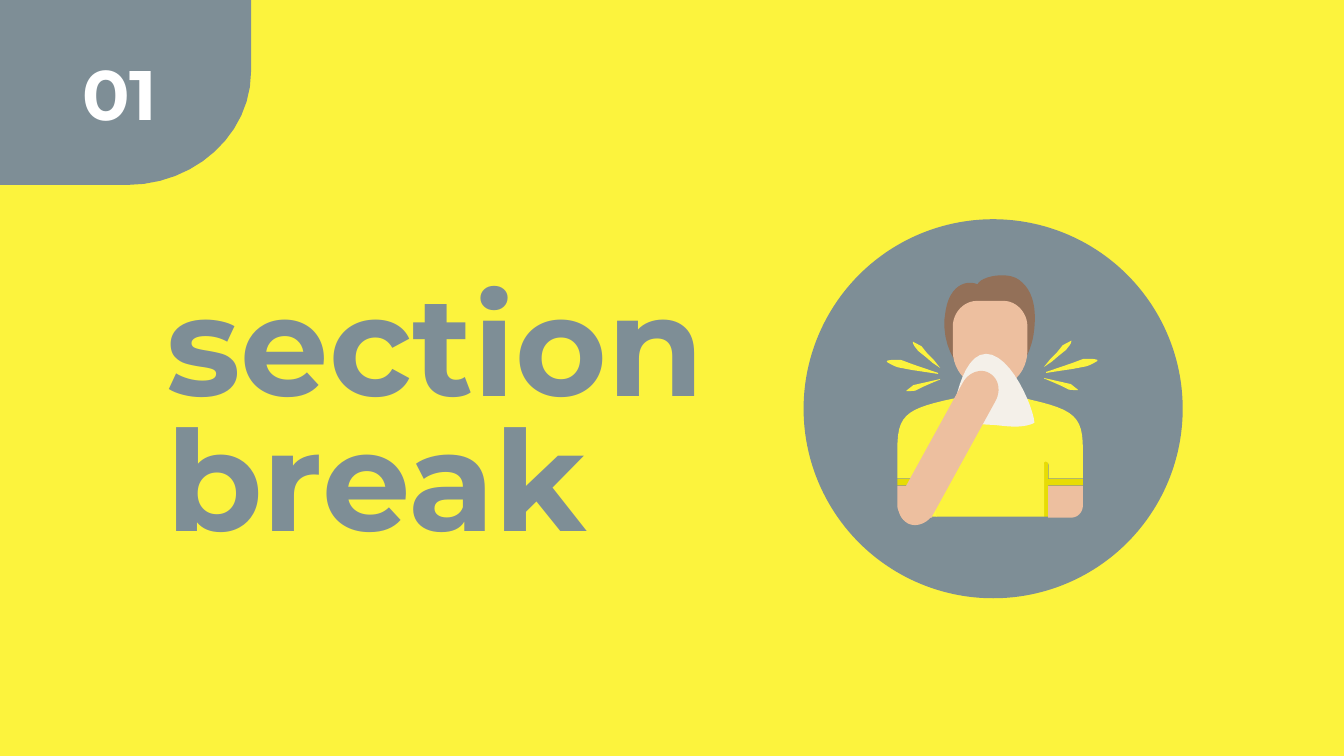
from pptx import Presentation
from pptx.dml.color import RGBColor as RGB
from pptx.enum.shapes import MSO_SHAPE as SHAPE
from pptx.enum.text import MSO_ANCHOR as ANCHOR, MSO_AUTO_SIZE as FIT, PP_ALIGN as ALIGN
from pptx.util import Inches, Pt

THEME = dict(
    yellow="FCF33D", seam="E7DC04", side="FFF83F", gray="7E8E96", white="FFFFFF",
    hair="937058", skin="EDBF9F", tissue="F4F0E9",
    font="Montserrat", title=Pt(200), number=Pt(100),
)
CELL = Inches(1)  # the slide is a grid of 26.66 columns by 15 rows
COLS, ROWS = 26.66, 15
STEPS = 12        # points per curve


def paint(sp, color):
    """Flat fill, no line, no shadow."""
    sp.shadow.inherit = False
    sp.fill.solid()
    sp.fill.fore_color.rgb = RGB.from_string(THEME[color])
    sp.line.fill.background()


def outline(parent, color, path, mirror=None, dy=0):
    """Draw points (x, y) and Bezier steps (x1, y1, x2, y2, x, y), mirrored on request."""
    pts = []
    for seg in path:
        if len(seg) == 2:
            pts.append(seg)
            continue
        p = [pts[-1], seg[:2], seg[2:4], seg[4:]]
        for i in range(1, STEPS + 1):
            t = i / STEPS
            w = ((1 - t) ** 3, 3 * t * (1 - t) ** 2, 3 * t * t * (1 - t), t ** 3)
            pts.append(tuple(sum(k * q[a] for k, q in zip(w, p)) for a in (0, 1)))
    emu = [(int((x if mirror is None else 2 * mirror - x) * CELL), int((y + dy) * CELL))
           for x, y in pts]
    fb = parent.build_freeform(*emu[0])
    fb.add_line_segments(emu[1:], close=True)
    paint(fb.convert_to_shape(), color)


prs = Presentation()
prs.slide_width, prs.slide_height = int(COLS * CELL), ROWS * CELL
s = prs.slides.add_slide(prs.slide_layouts[0])
s.background.fill.solid()
s.background.fill.fore_color.rgb = RGB.from_string(THEME["yellow"])

# Corner tab
outline(s.shapes, "gray", [(0, 0), (4.98, 0), (4.98, 1.42),
                           (4.98, 2.66, 3.87, 3.67, 2.52, 3.67), (0, 3.67)])

# Section number and the two title lines
number = s.shapes.add_textbox(0, 0, CELL, CELL)
title, subtitle = s.placeholders
for sp, text, box, size, color in (
    (number, "01", (1.53, 0.95, 3.72, 1.78), "number", "white"),
    (title, "section", (3.2, 5.04, 11.8, 3.47), "title", "gray"),
    (subtitle, "break", (3.2, 7.71, 11.8, 3.47), "title", "gray"),
):
    for name, v in zip(("left", "top", "width", "height"), box):
        setattr(sp, name, int(v * CELL))
    tf = sp.text_frame
    tf.text = text
    p = tf.paragraphs[0]
    formats = (
        (tf, dict(word_wrap=True, auto_size=FIT.NONE, vertical_anchor=ANCHOR.TOP)),
        (p, dict(alignment=ALIGN.LEFT, line_spacing=1.0, space_before=Pt(0))),
        (p.runs[0].font, dict(name=THEME["font"], size=THEME[size], bold=True)),
    )
    for obj, values in formats:
        for name, v in values.items():
            setattr(obj, name, v)
    p.runs[0].font.color.rgb = RGB.from_string(THEME[color])

# Round badge
fig = s.shapes.add_group_shape().shapes
disc = fig.add_shape(SHAPE.OVAL, *(int(v * CELL) for v in (15.94, 4.35, 7.52, 7.52)))
paint(disc, "gray")

# Head and neck
outline(fig, "hair", [
    (19.74, 7.55), (19.53, 7.55), (19.08, 7.55, 18.61, 6.87, 18.76, 6.15),
    (18.84, 5.68, 19.15, 5.54, 19.39, 5.64), (19.46, 5.48, 19.98, 5.38, 20.21, 5.55),
    (20.52, 5.77, 20.57, 6.19, 20.5, 6.65), (20.44, 7.01, 20.19, 7.55, 19.74, 7.55)])
outline(fig, "skin", [
    (19.91, 5.97), (19.38, 5.97), (19.12, 5.97, 18.9, 6.2, 18.9, 6.48), (18.9, 6.96),
    (18.9, 7.38, 19.24, 7.72, 19.64, 7.72), (20.05, 7.72, 20.38, 7.38, 20.38, 6.96),
    (20.38, 6.48), (20.38, 6.2, 20.16, 5.97, 19.91, 5.97)])
outline(fig, "skin", [
    (20.44, 8.32), (19.93, 8.28, 20.1, 7.28, 20.1, 7.28), (19.18, 7.28),
    (19.18, 7.28, 19.35, 8.28, 18.84, 8.32), (18.91, 8.45, 19.26, 8.57, 19.62, 8.57),
    (20.03, 8.56, 20.37, 8.45, 20.44, 8.32)])

# Seams and cuffs
for color, *box in (("seam", 20.71, 9.15, 0.08, 1.1), ("side", 18.48, 9.5, 0.1, 0.75),
                    ("seam", 20.79, 9.5, 0.69, 0.13), ("seam", 17.8, 9.5, 0.69, 0.13)):
    paint(fig.add_shape(SHAPE.RECTANGLE, *(int(v * CELL) for v in box)), color)

# Forearms and shirt
for mirror in (None, 19.64):
    outline(fig, "skin", [(20.79, 10.27), (21.25, 10.27),
                          (21.38, 10.27, 21.48, 10.16, 21.48, 10.03),
                          (21.48, 9.64), (20.79, 9.64)], mirror)
outline(fig, "yellow", [
    (18.48, 9.23), (18.48, 9.19, 18.5, 9.16, 18.54, 9.16),
    (18.57, 9.16, 18.57, 9.19, 18.57, 9.23), (18.57, 10.25), (20.71, 10.25), (20.71, 9.23),
    (20.71, 9.19, 20.7, 9.16, 20.74, 9.16), (20.78, 9.16, 20.8, 9.19, 20.8, 9.23),
    (20.8, 9.49), (21.48, 9.49), (21.48, 8.91), (21.48, 8.27, 21.31, 8.13, 20.44, 7.93),
    (20.23, 7.88), (20.17, 8.04, 20.02, 8.29, 19.65, 8.29),
    (19.24, 8.29, 19.1, 8.01, 19.05, 7.88), (18.72, 7.95),
    (17.96, 8.13, 17.8, 8.27, 17.8, 8.91), (17.8, 9.49), (18.48, 9.49)])

# Tissue and raised arm
outline(fig, "tissue", [
    (18.9, 8.23), (18.9, 8.23, 19.05, 7.02, 19.56, 7.02),
    (20.05, 7.02, 20.5, 8.08, 20.52, 8.39), (20.23, 8.53, 19.85, 8.43, 19.66, 8.43),
    (19.48, 8.41, 19.15, 8.43, 19.15, 8.43)])
outline(fig, "skin", [
    (19.62, 7.4), (19.45, 7.3, 19.2, 7.39, 19.09, 7.61), (17.88, 9.81),
    (17.76, 10.01, 17.81, 10.27, 18, 10.38), (18.17, 10.48, 18.42, 10.38, 18.53, 10.17),
    (19.74, 7.97), (19.86, 7.76, 19.82, 7.51, 19.62, 7.4)])

# Cough sprays, left and mirrored right
sprays = (
    [(17.59, 7.16), (17.69, 7.13, 17.78, 7.14, 17.87, 7.14), (18.11, 7.23), (18.61, 7.4),
     (18.61, 7.42), (18.35, 7.38), (18.08, 7.34), (17.82, 7.29),
     (17.75, 7.27, 17.67, 7.23, 17.59, 7.18)],
    [(18.11, 6.78), (18.28, 6.87), (18.4, 7.02), (18.53, 7.15), (18.65, 7.3),
     (18.5, 7.2), (18.36, 7.08), (18.21, 6.96), (18.17, 6.9, 18.12, 6.86, 18.11, 6.8)],
    [(17.98, 7.75), (18.12, 7.64), (18.3, 7.6), (18.65, 7.52), (18.65, 7.53),
     (18.48, 7.6), (18.32, 7.67), (18.16, 7.75), (18.11, 7.76, 18.03, 7.76, 17.98, 7.76)],
)
for mirror, dy in ((None, 0), (19.68, -0.02)):
    for spray in sprays:
        outline(fig, "yellow", spray, mirror, dy)

prs.save("out.pptx")
